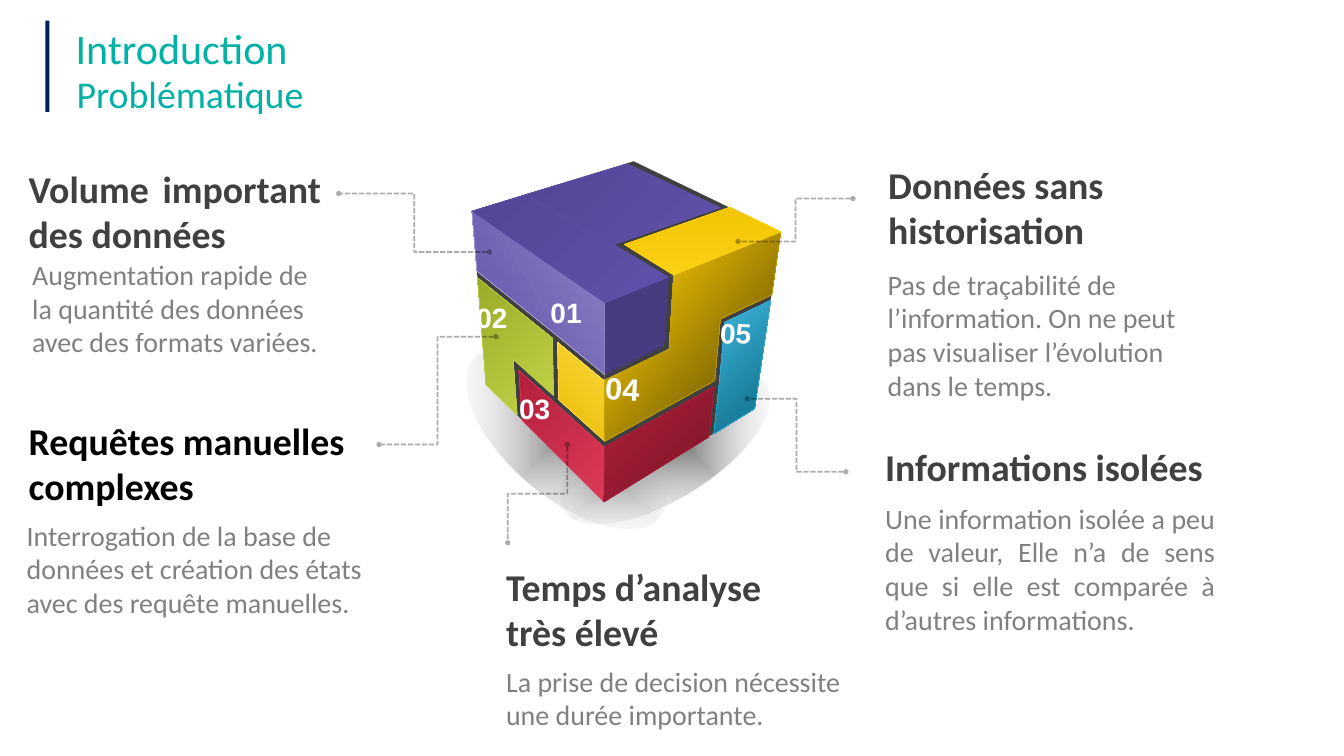
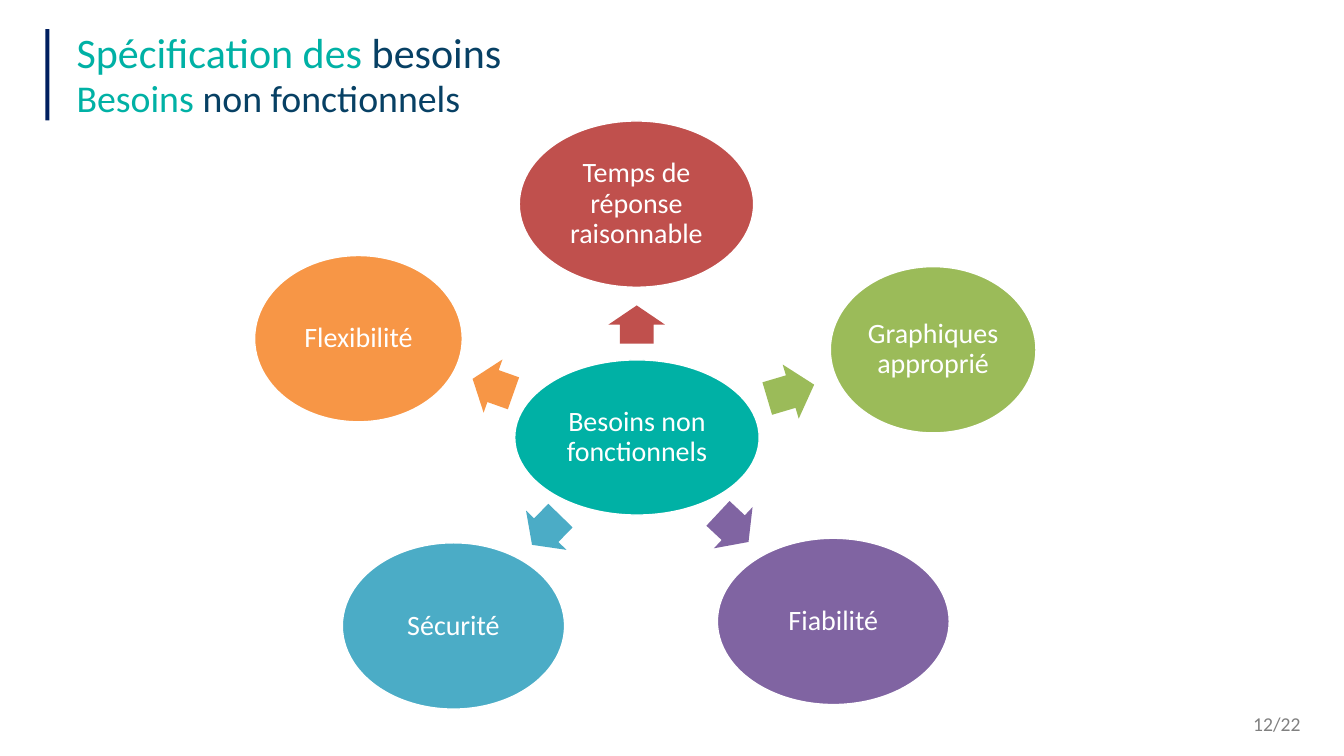
"""Build two slides: the problem statement cube and the non-functional needs wheel."""
from dataclasses import dataclass

import pptx
import pptx.dml.color
import pptx.dml.fill
import pptx.enum.dml
import pptx.enum.shapes
import pptx.enum.text
import pptx.shapes.autoshape
import pptx.slide
import pptx.text.text
import pptx.util
from lxml import etree
from pptx.dml.color import RGBColor
from pptx.enum.shapes import MSO_CONNECTOR, MSO_SHAPE
from pptx.enum.text import MSO_ANCHOR, MSO_AUTO_SIZE, PP_ALIGN
from pptx.oxml.ns import qn
from pptx.util import Inches

TEAL = RGBColor(0x00, 0xB1, 0xA5)
NAVY = RGBColor(0x07, 0x40, 0x64)
BAND = RGBColor(0x00, 0x1F, 0x5F)
BLACK = RGBColor(0x00, 0x00, 0x00)
WHITE = RGBColor(0xFF, 0xFF, 0xFF)
DARK = RGBColor(0x40, 0x40, 0x40)
GREY = RGBColor(0x80, 0x80, 0x80)
VIOLET = RGBColor(0x5F, 0x50, 0xAA)
VIOLET_DEEP = RGBColor(0x54, 0x46, 0x96)
VIOLET_LIGHT = RGBColor(0x8E, 0x83, 0xC5)
VIOLET_EDGE = RGBColor(0xBF, 0xB8, 0xDE)
VIOLET_SHADE = RGBColor(0x47, 0x3C, 0x7F)
LIME = RGBColor(0xC2, 0xD3, 0x48)
LIME_DEEP = RGBColor(0x9B, 0xAB, 0x29)
CRIMSON_LIGHT = RGBColor(0xDD, 0x3A, 0x59)
CRIMSON = RGBColor(0xB2, 0x1F, 0x3B)
CRIMSON_DEEP = RGBColor(0x77, 0x15, 0x27)
GOLD = RGBColor(0xE7, 0xBC, 0x03)
GOLD_LIGHT = RGBColor(0xFC, 0xD8, 0x3A)
GOLD_EDGE = RGBColor(0xFD, 0xE3, 0x72)
GOLD_SIDE = RGBColor(0xE2, 0xB7, 0x03)
GOLD_DEEP = RGBColor(0x69, 0x55, 0x01)
GOLD_SIDE_EDGE = RGBColor(0xC9, 0xA4, 0x03)
GOLD_TOP = RGBColor(0xFC, 0xD0, 0x14)
GOLD_TOP_DEEP = RGBColor(0xF2, 0xC4, 0x03)
SKY = RGBColor(0x41, 0xBA, 0xDF)
SKY_DEEP = RGBColor(0x1A, 0x7E, 0x9C)
SKY_EDGE = RGBColor(0x2A, 0xB2, 0xDB)
RED = RGBColor(0xC0, 0x50, 0x4D)
GREEN = RGBColor(0x9B, 0xBB, 0x59)
PURPLE = RGBColor(0x80, 0x64, 0xA2)
BLUE = RGBColor(0x4B, 0xAC, 0xC6)
ORANGE = RGBColor(0xF7, 0x96, 0x46)

Box = tuple[float, float, float, float]
Point = tuple[float, float]
Runs = list[tuple[str, RGBColor]]


@dataclass(frozen=True)
class Style:
    """Look of one paragraph."""
    size: float
    color: RGBColor
    bold: bool = False
    font: str = "Calibri"
    align: PP_ALIGN = PP_ALIGN.LEFT
    spacing: float = 1.0


@dataclass(frozen=True)
class Face:
    """One face of the cube, plain or with a gradient of two colours."""
    points: list[Point]
    start: RGBColor
    end: RGBColor | None = None
    angle: float = 0
    edge: RGBColor | None = None
    stops: tuple[float, float] = (0, 1)


@dataclass(frozen=True)
class Callout:
    """A heading with its explanation."""
    heading: str
    heading_box: Box
    detail: str
    detail_box: Box
    color: RGBColor = DARK
    heading_align: PP_ALIGN = PP_ALIGN.LEFT
    detail_align: PP_ALIGN = PP_ALIGN.LEFT


@dataclass(frozen=True)
class Leader:
    """A dashed elbow between a face and its callout."""
    start: Point
    end: Point
    vertical: bool = False


@dataclass(frozen=True)
class Number:
    """A number written on a cube face."""
    label: str
    box: Box
    size: float = 40
    rotation: float = 0


@dataclass(frozen=True)
class Need:
    """An outer ellipse and the arrow that leads to it."""
    label: str
    left: float
    top: float
    width: float
    color: RGBColor
    arrow_left: float
    arrow_top: float
    arrow_width: float
    arrow_angle: float


FACES = [
    Face([(9.36, 4.19), (12, 6.01), (11.98, 9.95), (9.65, 7.63)], DARK),
    Face([(15.49, 4.61), (14.96, 8.1), (11.98, 9.95), (12, 6.01)], DARK),
    Face([(12.57, 3.2), (15.49, 4.61), (12, 6.01), (9.36, 4.19)], DARK),
    Face([(9.47, 5.51), (10.96, 6.71), (10.98, 7.85), (10.18, 7.13), (10.26, 8.24),
          (9.64, 7.63)], LIME, LIME_DEEP, 225, LIME),
    Face([(9.36, 4.19), (12, 6.01), (12, 7.44), (11.05, 6.66), (9.46, 5.38)],
         VIOLET_LIGHT, VIOLET, 150, VIOLET_EDGE),
    Face([(10.29, 7.35), (11.98, 8.87), (11.98, 9.96), (10.36, 8.34)],
         CRIMSON_LIGHT, CRIMSON, 225, CRIMSON_LIGHT),
    Face([(11.06, 6.79), (11.98, 7.55), (12, 7.54), (11.99, 8.75), (11.08, 7.93)],
         GOLD, GOLD_LIGHT, 315, GOLD_EDGE),
    Face([(13.27, 5.5), (13.18, 6.86), (12, 7.44), (12, 6.01)], VIOLET_SHADE),
    Face([(15.29, 5.96), (14.97, 8.11), (14.16, 8.61), (14.27, 7.58), (14.38, 6.39)],
         SKY, SKY_DEEP, 45, SKY_EDGE, (0, 0.72)),
    Face([(15.49, 4.6), (15.31, 5.85), (14.29, 6.33), (14.18, 7.55), (11.99, 8.76),
          (12, 7.54), (13.27, 6.93), (13.36, 5.46)],
         GOLD_SIDE, GOLD_DEEP, 40, GOLD_SIDE_EDGE, (0.23, 0.84)),
    Face([(14.17, 7.67), (14.06, 8.67), (11.98, 9.96), (11.99, 8.87)],
         CRIMSON, CRIMSON_DEEP, 45, CRIMSON),
    Face([(14.48, 4.11), (15.49, 4.6), (13.36, 5.46), (12.38, 4.85)],
         GOLD_TOP, GOLD_TOP_DEEP, 270, GOLD_TOP),
    Face([(10.5, 3.84), (13.26, 5.5), (12, 6.01), (9.36, 4.19)],
         VIOLET, VIOLET_DEEP, 225, VIOLET),
    Face([(12.44, 3.25), (14.29, 4.12), (12.13, 4.87), (10.43, 3.86)],
         VIOLET, VIOLET_DEEP, 225, VIOLET),
]
GROUND_SHADOWS = [((10.84, 7.87, 4.71, 2.03), 328.4, 49), ((8.83, 7.53, 4.81, 2.33), 40.6, 44)]
NUMBERS = [
    Number("01", (10.82, 5.81, 1.18, 1.1)),
    Number("02", (9.35, 5.92, 1.18, 1.1)),
    Number("03", (10.2, 7.71, 1.18, 1.1)),
    Number("05", (14.18, 6.23, 1.18, 1.1), rotation=3.3),
    Number("04", (11.9, 7.3, 1.27, 1.2), 44, 3.3),
]
LEADERS = [
    Leader((9.71, 5), (6.72, 3.84)),
    Leader((9.84, 6.68), (7.52, 8.82)),
    Leader((11.25, 8.82), (10.07, 10.77), vertical=True),
    Leader((16.92, 3.94), (14.64, 4.79)),
    Leader((16.78, 9.36), (14.82, 7.91)),
]
CALLOUTS = [
    Callout("Volume important des données", (0.47, 3.21, 6, 1.92),
            "Augmentation rapide de la quantité des données avec des formats variées.",
            (0.54, 5.04, 6.18, 2.12), heading_align=PP_ALIGN.JUSTIFY),
    Callout("Requêtes manuelles complexes", (0.47, 8.21, 7.33, 1.92),
            "Interrogation de la base de données et création des états avec des requête manuelles.",
            (0.43, 10.21, 7.15, 2.12), BLACK),
    Callout("Temps d’analyse très élevé", (9.94, 11.11, 6.12, 1.92),
            "La prise de decision nécessite une durée importante.", (9.94, 13.11, 6.83, 1.45)),
    Callout("Données sans historisation", (17.52, 3.13, 4.93, 1.92),
            "Pas de traçabilité de l’information. On ne peut pas visualiser l’évolution dans le temps.",
            (17.51, 5.23, 6.19, 2.79)),
    Callout("Informations isolées", (17.22, 8.75, 6.74, 1.01),
            "Une information isolée a peu de valeur, Elle n’a de sens que si elle est comparée à "
            "d’autres informations.", (17.46, 9.87, 6.74, 2.79),
            heading_align=PP_ALIGN.RIGHT, detail_align=PP_ALIGN.JUSTIFY),
]
NEED_HEIGHT = 3.3
ARROW_HEIGHT = 1.12
NEEDS = [
    Need("Temps de réponse raisonnable", 10.3, 2.4, 4.65, RED, 12.25, 5.88, 0.76, 270),
    Need("Graphiques approprié", 16.47, 5.29, 4.08, GREEN, 15.2, 7.21, 0.97, 343.5),
    Need("Fiabilité", 14.23, 10.68, 4.6, PURPLE, 14.13, 9.91, 0.83, 43.1),
    Need("Sécurité", 6.79, 10.77, 4.41, BLUE, 10.43, 9.96, 0.81, 134.2),
    Need("Flexibilité", 5.05, 5.07, 4.12, ORANGE, 9.35, 7.1, 0.86, 199.5),
]


def inches(values: tuple[float, ...]) -> list[pptx.util.Length]:
    """Turn plain numbers into lengths."""
    return [Inches(value) for value in values]


def write(frame: pptx.text.text.TextFrame, runs: Runs, style: Style,
          anchor: MSO_ANCHOR = MSO_ANCHOR.TOP) -> None:
    """Fill a text frame with one styled paragraph."""
    frame.word_wrap = True
    frame.vertical_anchor = anchor
    paragraph = frame.paragraphs[0]
    paragraph.alignment = style.align
    paragraph.line_spacing = style.spacing
    font = paragraph.font
    font.name, font.size, font.bold = style.font, pptx.util.Pt(style.size), style.bold
    font.color.rgb = style.color
    for text, color in runs:
        run = paragraph.add_run()
        run.text = text
        if color != style.color:
            run.font.color.rgb = color


def add_text(slide: pptx.slide.Slide, text: str, box: Box, style: Style,
             anchor: MSO_ANCHOR = MSO_ANCHOR.BOTTOM) -> pptx.shapes.autoshape.Shape:
    """Add a text box that grows with its text."""
    label = slide.shapes.add_textbox(*inches(box))
    write(label.text_frame, [(text, style.color)], style, anchor)
    label.text_frame.auto_size = MSO_AUTO_SIZE.SHAPE_TO_FIT_TEXT
    return label


def add_solid(slide: pptx.slide.Slide, kind: MSO_SHAPE, box: Box,
              color: RGBColor) -> pptx.shapes.autoshape.Shape:
    """Add a flat preset shape without outline or shadow."""
    solid = slide.shapes.add_shape(kind, *inches(box))
    solid.shadow.inherit = False
    solid.fill.solid()
    solid.fill.fore_color.rgb = color
    solid.line.fill.background()
    return solid


def add_heading(slide: pptx.slide.Slide, title: Runs, subtitle: Runs, title_box: Box,
                subtitle_top: float, band_top: float, spacing: float) -> None:
    """Place the band, the title and the subtitle."""
    add_solid(slide, MSO_SHAPE.RECTANGLE, (0.9, band_top, 0.08, 1.81), BAND)
    heading = slide.shapes.title
    heading.left, heading.top, heading.width, heading.height = inches(title_box)
    write(heading.text_frame, title, Style(60, TEAL, spacing=spacing))
    heading.text_frame.auto_size = MSO_AUTO_SIZE.NONE
    line = slide.shapes.add_textbox(*inches((1.42, subtitle_top, 18.9, 0.94)))
    write(line.text_frame, subtitle, Style(54, TEAL, spacing=0.9))


def set_gradient(fill: pptx.dml.fill.FillFormat, colors: tuple[RGBColor, RGBColor],
                 stops: tuple[float, float] = (0, 1)) -> None:
    """Give a fill a gradient of two colours."""
    fill.gradient()
    for stop, color, position in zip(fill.gradient_stops, colors, stops):
        stop.color.rgb = color
        stop.position = position


def set_alpha(color: etree._Element, percent: float) -> None:
    """Set the opacity of a colour element."""
    etree.SubElement(color, qn("a:alpha")).set("val", str(int(percent * 1000)))


def add_ground_shadow(slide: pptx.slide.Slide, box: Box, rotation: float, opacity: float) -> None:
    """Add a soft ellipse that fades towards its rim."""
    shade = add_solid(slide, MSO_SHAPE.OVAL, box, BLACK)
    shade.rotation = rotation
    set_gradient(shade.fill, (BLACK, WHITE))
    gradient = shade.element.spPr.find(qn("a:gradFill"))
    for color, percent in zip(gradient.iter(qn("a:srgbClr")), (opacity, 0)):
        set_alpha(color, percent)
    radial = etree.Element(qn("a:path"), {"path": "shape"})
    etree.SubElement(radial, qn("a:fillToRect"), dict.fromkeys("ltrb", "50000"))
    gradient.replace(gradient.find(qn("a:lin")), radial)


def add_face(slide: pptx.slide.Slide, face: Face) -> None:
    """Draw one face of the cube."""
    first, *others = [tuple(inches(point)) for point in face.points]
    outline = slide.shapes.build_freeform(*first)
    outline.add_line_segments(others, close=True)
    panel = outline.convert_to_shape()
    panel.shadow.inherit = False
    if face.end is None:
        panel.fill.solid()
        panel.fill.fore_color.rgb = face.start
    else:
        set_gradient(panel.fill, (face.start, face.end), face.stops)
        panel.fill.gradient_angle = 360 - face.angle
    if face.edge is None:
        panel.line.fill.background()
    else:
        panel.line.color.rgb = face.edge
        panel.line.width = pptx.util.Pt(0)


def add_leader(slide: pptx.slide.Slide, leader: Leader) -> None:
    """Draw a dashed elbow with a dot at each end."""
    (x1, y1), (x2, y2) = leader.start, leader.end
    if leader.vertical:
        middle_x, middle_y = (x1 + x2) / 2, (y1 + y2) / 2
        half_x, half_y = (y2 - y1) / 2, (x1 - x2) / 2
        x1, x2 = middle_x - half_x, middle_x + half_x
        y1, y2 = middle_y - half_y, middle_y + half_y
    elbow = slide.shapes.add_connector(MSO_CONNECTOR.ELBOW, *inches((x1, y1, x2, y2)))
    properties = elbow.element.spPr
    if leader.vertical:
        properties.find(qn("a:xfrm")).set("rot", str(90 * 60000))
    elbow.line.color.rgb = BLACK
    elbow.line.width = pptx.util.Pt(2.5)
    elbow.line.dash_style = pptx.enum.dml.MSO_LINE.SQUARE_DOT
    stroke = properties.find(qn("a:ln"))
    set_alpha(next(stroke.iter(qn("a:srgbClr"))), 33)
    for end in ("a:headEnd", "a:tailEnd"):
        etree.SubElement(stroke, qn(end), {"type": "oval"})
    etree.SubElement(properties, qn("a:effectLst"))


def add_bubble(slide: pptx.slide.Slide, label: str, box: Box, color: RGBColor) -> None:
    """Add a labelled ellipse with a white rim."""
    bubble = add_solid(slide, MSO_SHAPE.OVAL, box, color)
    bubble.line.color.rgb = WHITE
    bubble.line.width = pptx.util.Pt(2)
    frame = bubble.text_frame
    frame.margin_left = frame.margin_right = frame.margin_top = frame.margin_bottom = Inches(0.06)
    write(frame, [(label, WHITE)], Style(40, WHITE, align=PP_ALIGN.CENTER, spacing=0.9),
          MSO_ANCHOR.MIDDLE)


def build_problem(slide: pptx.slide.Slide) -> None:
    """Draw the cube and its five callouts."""
    add_heading(slide, [("Introduction", TEAL)], [("Problématique", TEAL)],
                (1.4, 0.4, 9.39, 1.72), 1.45, 0.41, 1.0)
    for box, rotation, opacity in GROUND_SHADOWS:
        add_ground_shadow(slide, box, rotation, opacity)
    for face in FACES:
        add_face(slide, face)
    for number in NUMBERS:
        label = add_text(slide, number.label, number.box,
                         Style(number.size, WHITE, True, "Arial"), MSO_ANCHOR.TOP)
        label.text_frame.word_wrap = False
        label.rotation = number.rotation
    for leader in LEADERS:
        add_leader(slide, leader)
    for callout in CALLOUTS:
        add_text(slide, callout.heading, callout.heading_box,
                 Style(54, callout.color, True, align=callout.heading_align))
        add_text(slide, callout.detail, callout.detail_box,
                 Style(40, GREY, align=callout.detail_align))


def build_needs(slide: pptx.slide.Slide) -> None:
    """Draw the hub, its five needs and the page number."""
    add_heading(slide, [("Spécification des ", TEAL), ("besoins", NAVY)],
                [("Besoins ", TEAL), ("non fonctionnels", NAVY)],
                (1.42, 0.59, 18.9, 0.94), 1.53, 0.58, 0.9)
    add_bubble(slide, "Besoins non fonctionnels", (10.21, 7.14, 4.85, 3.08), TEAL)
    for need in NEEDS:
        arrow_box = (need.arrow_left, need.arrow_top, need.arrow_width, ARROW_HEIGHT)
        arrow = add_solid(slide, MSO_SHAPE.RIGHT_ARROW, arrow_box, need.color)
        arrow.adjustments[0] = 0.6
        arrow.rotation = need.arrow_angle
        add_bubble(slide, need.label, (need.left, need.top, need.width, NEED_HEIGHT), need.color)
    page = add_text(slide, "12/22", (24.8, 14.26, 1.23, 0.34), Style(28, GREY), MSO_ANCHOR.TOP)
    frame = page.text_frame
    frame.margin_left = Inches(0.06)
    frame.margin_right = frame.margin_top = frame.margin_bottom = 0
    frame.paragraphs[0].line_spacing = pptx.util.Pt(24.3)


def main() -> None:
    """Build and save the presentation."""
    deck = pptx.Presentation()
    deck.slide_width, deck.slide_height = inches((26.66, 15))
    for build in (build_problem, build_needs):
        build(deck.slides.add_slide(deck.slide_layouts[5]))
    deck.save("out.pptx")


if __name__ == "__main__":
    main()
